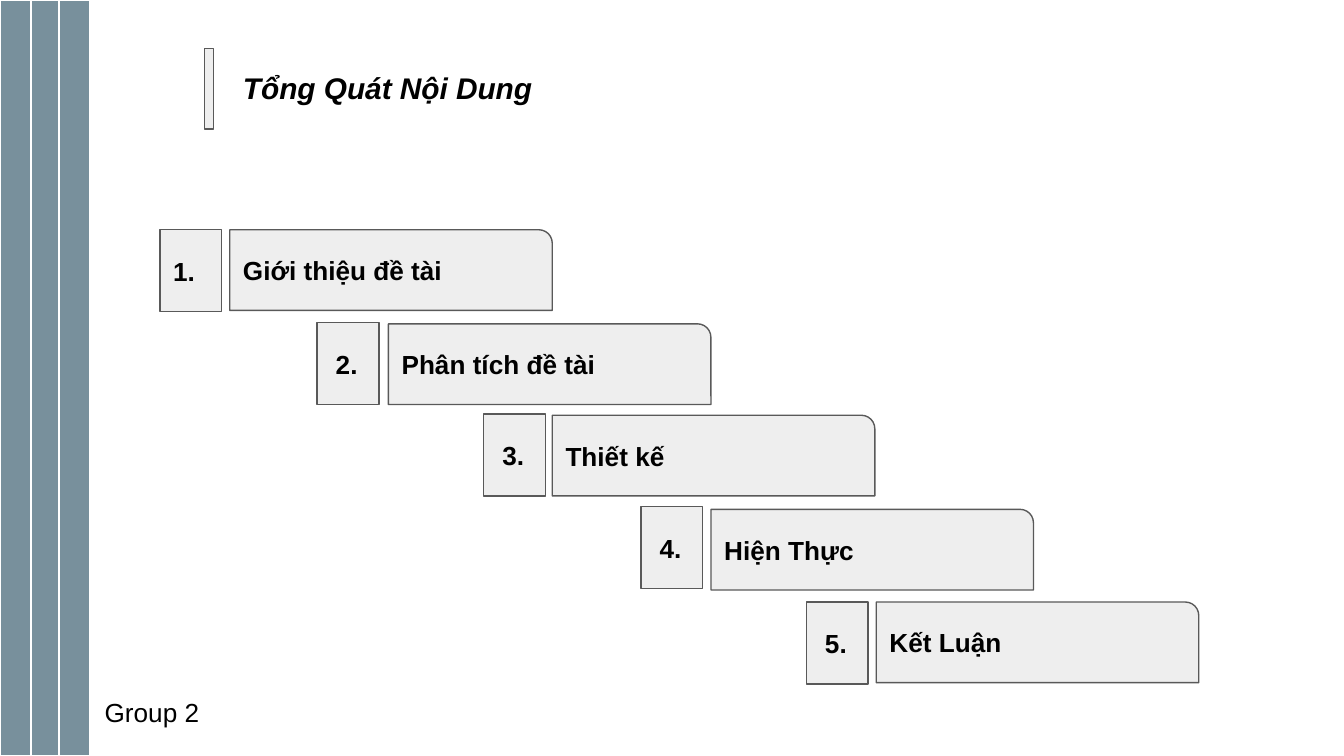
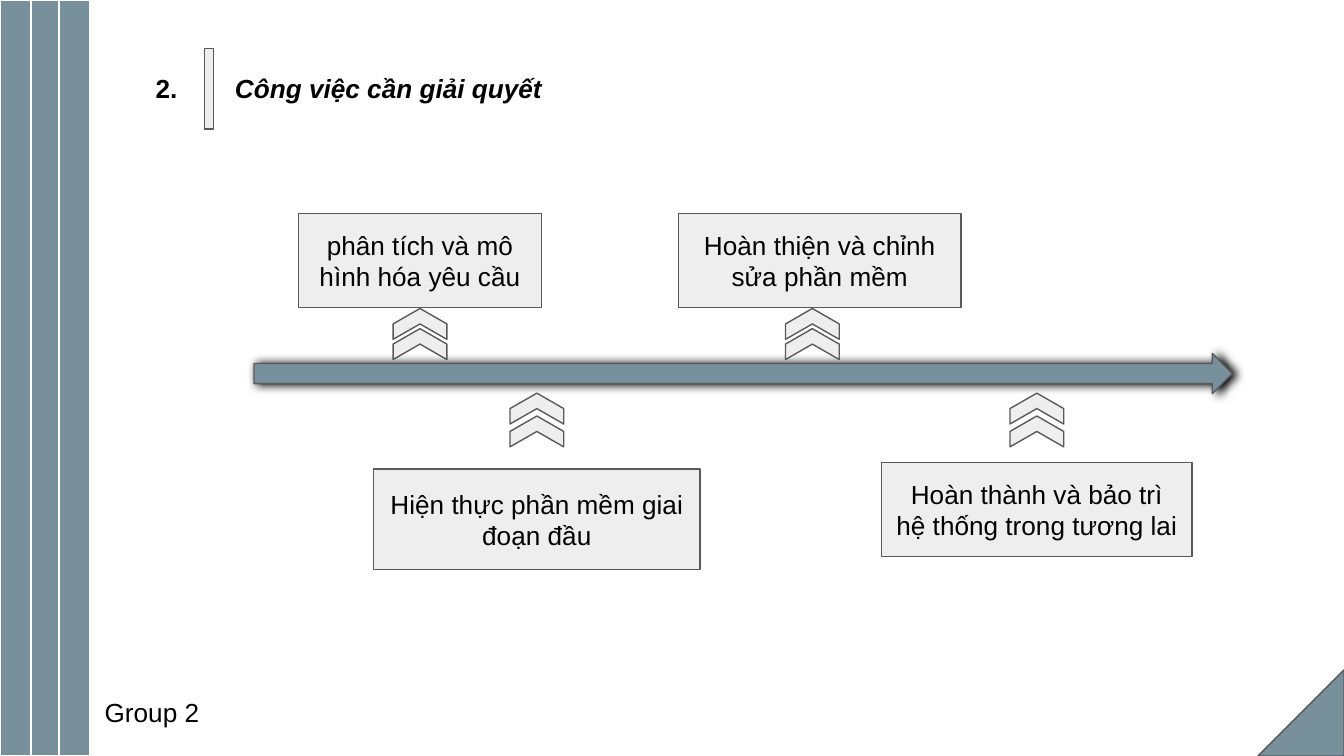
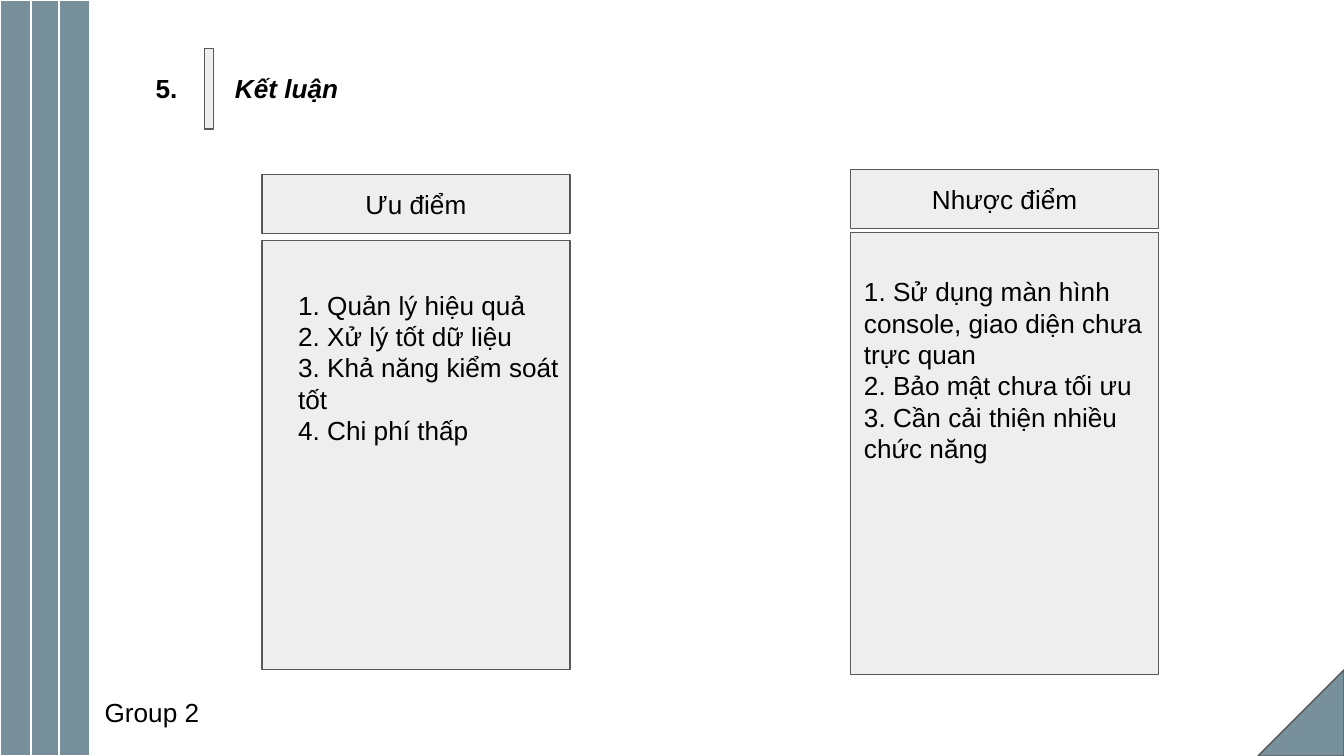
import dataclasses

import pptx
import pptx.dml.color
import pptx.enum.shapes
import pptx.enum.text
import pptx.oxml
import pptx.oxml.ns
import pptx.util

Inches = pptx.util.Inches
SHAPES = pptx.enum.shapes.MSO_SHAPE
ALIGN = pptx.enum.text.PP_ALIGN
ANCHOR = pptx.enum.text.MSO_ANCHOR


@dataclasses.dataclass(frozen=True)
class Theme:
    font: str = "Arial"
    accent: str = "78909C"
    panel: str = "EEEEEE"
    outline: str = "595959"
    white: str = "FFFFFF"
    text: str = "000000"
    body_size: int = 14
    heading_size: int = 16
    line_width: float = 0.75
    inset: float = 0.1


THEME = Theme()
WIDTH = 10
HEIGHT = WIDTH * 9 / 16


def rgb(value):
    return pptx.dml.color.RGBColor.from_string(value)


# Basic elements
def write_text(shape, text, *, size=THEME.body_size, bold=False, italic=False,
               align=ALIGN.LEFT, anchor=ANCHOR.TOP):
    """Write one paragraph for each line of text."""
    frame = shape.text_frame
    frame.word_wrap = True
    frame.vertical_anchor = anchor
    frame.margin_left = frame.margin_right = Inches(THEME.inset)
    frame.margin_top = frame.margin_bottom = Inches(THEME.inset)
    frame.text = text
    for paragraph in frame.paragraphs:
        paragraph.alignment = align
        font = paragraph.runs[0].font
        font.name = THEME.font
        font.size = pptx.util.Pt(size)
        font.bold = bold
        font.italic = italic
        font.color.rgb = rgb(THEME.text)


def add_text(slide, left, top, width, height, text, **text_format):
    box = slide.shapes.add_textbox(Inches(left), Inches(top), Inches(width), Inches(height))
    write_text(box, text, **text_format)
    box.text_frame.auto_size = pptx.enum.text.MSO_AUTO_SIZE.SHAPE_TO_FIT_TEXT


def add_shape(slide, left, top, width, height, kind=SHAPES.RECTANGLE,
              fill=THEME.panel, outline=THEME.outline, rotation=0):
    shape = slide.shapes.add_shape(
        kind, Inches(left), Inches(top), Inches(width), Inches(height))
    shape.shadow.inherit = False
    shape.fill.solid()
    shape.fill.fore_color.rgb = rgb(fill)
    shape.line.color.rgb = rgb(outline)
    shape.line.width = pptx.util.Pt(THEME.line_width)
    shape.rotation = rotation
    return shape


def add_label_box(slide, left, top, width, height, text):
    box = add_shape(slide, left, top, width, height)
    write_text(box, text, align=ALIGN.CENTER, anchor=ANCHOR.MIDDLE)


def add_drop_shadow(shape, blur, distance, angle):
    effects = shape.element.spPr.find(pptx.oxml.ns.qn("a:effectLst"))
    effects.append(pptx.oxml.parse_xml(
        f'<a:outerShdw {pptx.oxml.ns.nsdecls("a")} blurRad="{pptx.util.Pt(blur)}" '
        f'dist="{pptx.util.Pt(distance)}" dir="{angle * 60000}" algn="bl" rotWithShape="0">'
        f'<a:srgbClr val="{THEME.text}"/></a:outerShdw>'))


# Parts shared by the slides
def add_base_slide(presentation):
    slide = presentation.slides.add_slide(presentation.slide_layouts[6])
    for left in (0, 0.23, 0.44):
        add_shape(slide, left, 0, 0.23, HEIGHT, fill=THEME.accent, outline=THEME.white)
    add_shape(slide, 1.52, 0.36, 0.07, 0.6)
    add_text(slide, 0.68, 5.08, 1.12, 0.44, "Group 2")
    return slide


def add_section_slide(presentation, number, title, title_height=0.44):
    slide = add_base_slide(presentation)
    corner = 0.64
    add_shape(slide, WIDTH - corner, HEIGHT - corner, corner, corner,
              SHAPES.RIGHT_TRIANGLE, fill=THEME.accent, rotation=270)
    add_text(slide, 1.06, 0.44, 0.46, 0.44, number, bold=True)
    add_text(slide, 1.65, 0.44, 2.95, title_height, title, bold=True, italic=True)
    return slide


# Parts of single slides
def add_agenda_step(slide, number, title, bar_left, bar_top, badge_left, badge_top, number_shift):
    bar = add_shape(slide, bar_left, bar_top, 2.4, 0.6, SHAPES.ROUND_1_RECTANGLE)
    write_text(bar, title, bold=True, anchor=ANCHOR.MIDDLE)
    add_shape(slide, badge_left, badge_top, 0.46, 0.61)
    add_text(slide, badge_left + number_shift, badge_top + 0.09, 0.37, 0.44,
             f"{number}.", bold=True)


def add_double_chevron(slide, left, top, gap):
    for chevron_top in (top + gap, top):
        add_shape(slide, left, chevron_top, 0.23, 0.4, SHAPES.CHEVRON, rotation=270)


def add_list_card(slide, left, top, title, body_top, body_height,
                  text_left, text_top, text_height, items):
    width = 2.29
    add_shape(slide, left, body_top, width, body_height)
    add_label_box(slide, left, top, width, 0.44, title)
    add_text(slide, text_left, text_top, width, text_height, "\n".join(items))


# Slides
def build_agenda(presentation):
    slide = add_base_slide(presentation)
    add_text(slide, 1.71, 0.42, 3.87, 0.47, "Tổng Quát Nội Dung",
             size=THEME.heading_size, bold=True, italic=True)
    steps = [
        ("Giới thiệu đề tài", 1.71, 1.71, 1.19, 1.71, 0),
        ("Phân tích đề tài", 2.89, 2.41, 2.36, 2.4, 0.04),
        ("Thiết kế", 4.11, 3.09, 3.6, 3.08, 0.04),
        ("Hiện Thực", 5.29, 3.79, 4.77, 3.77, 0.04),
        ("Kết Luận", 6.52, 4.48, 6, 4.48, 0.04),
    ]
    for number, step in enumerate(steps, start=1):
        add_agenda_step(slide, number, *step)


def build_timeline(presentation):
    slide = add_section_slide(presentation, "2.", "Công việc cần giải quyết")
    arrow = add_shape(slide, 1.89, 2.63, 7.28, 0.3, SHAPES.RIGHT_ARROW, fill=THEME.accent)
    add_drop_shadow(arrow, blur=4.5, distance=1.5, angle=349)
    milestones = [
        (2.22, 1.59, 1.81, 0.7, "phân tích và mô hình hóa yêu cầu"),
        (2.78, 3.49, 2.43, 0.75, "Hiện thực phần mềm giai đoạn đầu"),
        (5.05, 1.59, 2.1, 0.7, "Hoàn thiện và chỉnh sửa phần mềm"),
        (6.56, 3.44, 2.31, 0.7, "Hoàn thành và bảo trì hệ thống trong tương lai"),
    ]
    for milestone in milestones:
        add_label_box(slide, *milestone)
    for left in (3.01, 5.93):
        add_double_chevron(slide, left, top=2.21, gap=0.15)
    for left in (3.88, 7.6):
        add_double_chevron(slide, left, top=2.84, gap=0.17)


def build_conclusion(presentation):
    slide = add_section_slide(presentation, "5.", "Kết luận", title_height=0.67)
    add_list_card(slide, 1.95, 1.3, "Ưu điểm", 1.79, 3.19, 2.12, 2.05, 1.38, [
        "1. Quản lý hiệu quả",
        "2. Xử lý tốt dữ liệu",
        "3. Khả năng kiểm soát tốt",
        "4. Chi phí thấp",
    ])
    add_list_card(slide, 6.33, 1.26, "Nhược điểm", 1.73, 3.29, 6.33, 1.95, 1.62, [
        "1. Sử dụng màn hình console, giao diện chưa trực quan",
        "2. Bảo mật chưa tối ưu",
        "3. Cần cải thiện nhiều chức năng",
    ])


def main():
    presentation = pptx.Presentation()
    presentation.slide_width = Inches(WIDTH)
    presentation.slide_height = Inches(HEIGHT)
    build_agenda(presentation)
    build_timeline(presentation)
    build_conclusion(presentation)
    presentation.save("out.pptx")


if __name__ == "__main__":
    main()
